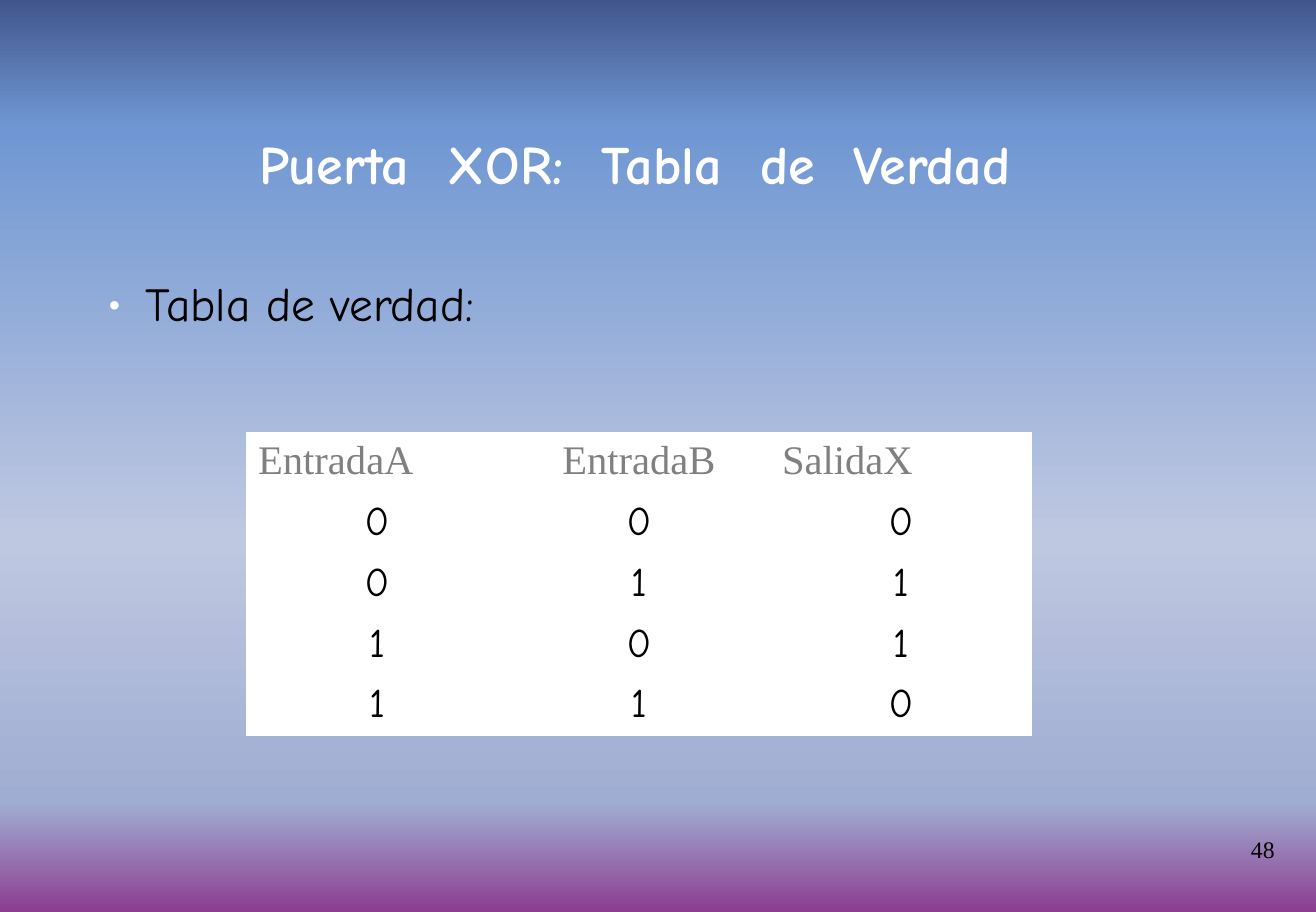
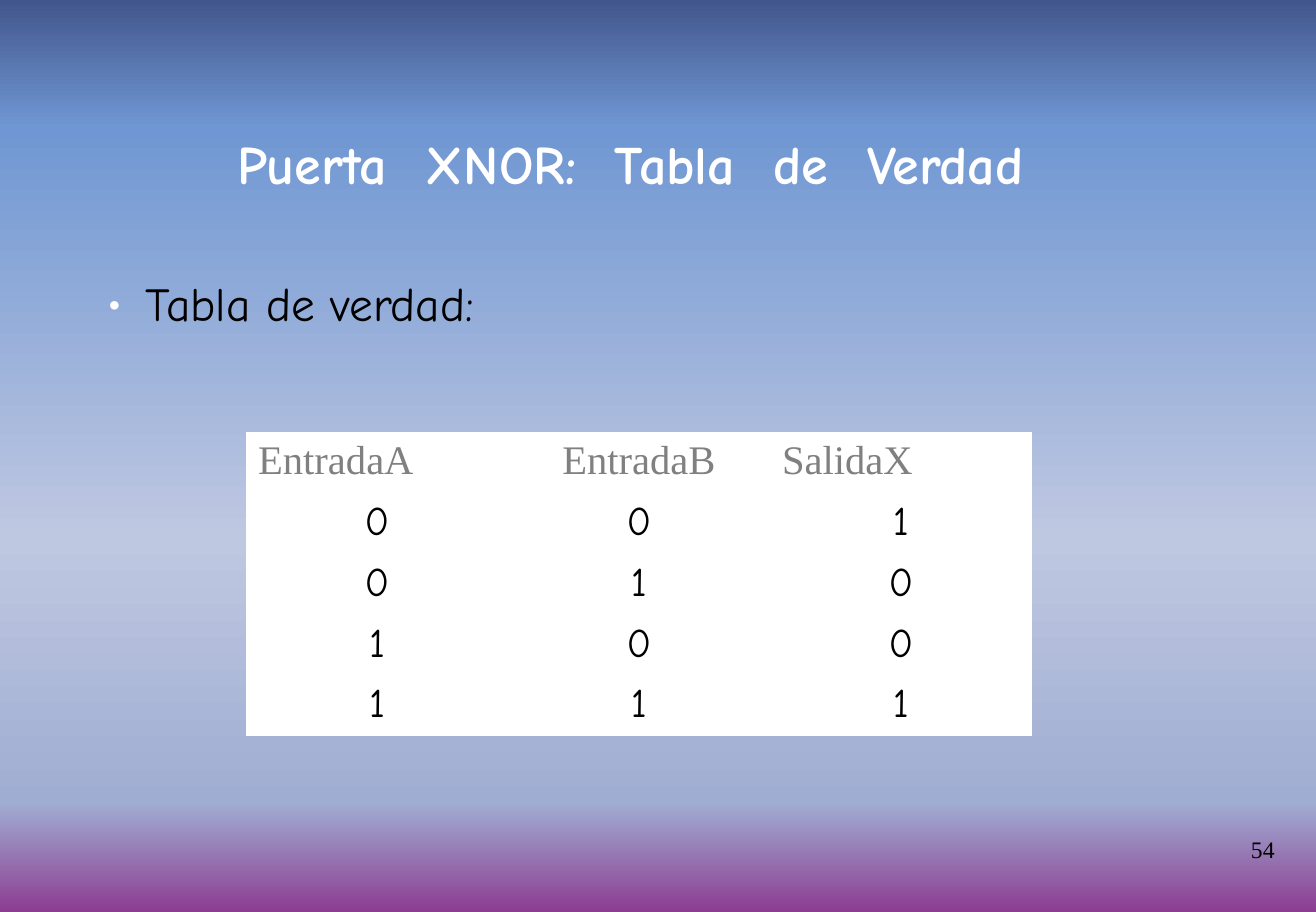
from dataclasses import dataclass
from lxml.etree import SubElement
from pptx import Presentation
from pptx.dml.color import RGBColor
from pptx.enum.text import MSO_ANCHOR, MSO_AUTO_SIZE, PP_ALIGN
from pptx.oxml.ns import qn
from pptx.util import Pt

PX = 7514  # EMU in one px


@dataclass(frozen=True)
class Theme:
    sky: tuple = ((0, "42568D"), (14, "7097D3"), (59, "BFC8E1"),
                  (88, "A0ADD2"), (100, "8C3D91"))
    white: str = "FFFFFF"
    black: str = "000000"
    gray: str = "808080"
    hand: str = "Comic Neue"
    serif: str = "Times New Roman"
    title: int = 32
    body: int = 28
    cell: int = 24
    page: int = 14


theme = Theme()


def style(para, face, size, color, bold=False, align=PP_ALIGN.LEFT):
    para.alignment = align
    for run in para.runs:
        font = run.font
        font.name, font.size, font.bold = face, Pt(size), bold
        font.color.rgb = RGBColor.from_string(color)


def put(shape, box, text, lead):
    """Place a text shape without insets and return its one paragraph."""
    shape.left, shape.top, shape.width, shape.height = [n * PX for n in box]
    frame = shape.text_frame
    frame.text = text
    frame.margin_left = frame.margin_right = 0
    frame.margin_top = frame.margin_bottom = 0
    frame.word_wrap = True
    frame.auto_size = MSO_AUTO_SIZE.NONE
    frame.vertical_anchor = MSO_ANCHOR.TOP
    para = frame.paragraphs[0]
    para.line_spacing = Pt(lead)
    para.space_before = Pt(0)
    return para


deck = Presentation()
deck.slide_width, deck.slide_height = 1316 * PX, 912 * PX

# Shared background
master = deck.slide_master
fill = master.background.fill
fill.gradient()
fill.gradient_angle = 270
stops = master.element.find(".//" + qn("a:gsLst"))
for stop in list(stops):
    stops.remove(stop)
for pos, color in theme.sky:
    stop = SubElement(stops, qn("a:gs"), pos=str(pos * 1000))
    SubElement(stop, qn("a:srgbClr"), val=color)

heads = ("EntradaA", "EntradaB", "SalidaX")
inputs = ("00", "01", "10", "11")
gates = (
    ("Puerta  XOR:  Tabla  de  Verdad", 259, "0110", "48"),
    ("Puerta  XNOR:  Tabla  de  Verdad", 237, "1001", "54"),
)

for title, left, outputs, number in gates:
    slide = deck.slides.add_slide(deck.slide_layouts[1])

    para = put(slide.shapes.title, (left, 136, 840, 60), title, 35)
    style(para, theme.hand, theme.title, theme.white, bold=True)

    para = put(slide.placeholders[1], (108, 280, 840, 58), "Tabla de verdad:", 30)
    style(para, theme.hand, theme.body, theme.black)
    props = para._p.get_or_add_pPr()
    props.set("marL", str(38 * PX))
    props.set("indent", str(-38 * PX))
    tint = SubElement(props, qn("a:buClr"))
    SubElement(tint, qn("a:srgbClr"), val=theme.white)
    SubElement(props, qn("a:buFont"), typeface=theme.hand)
    SubElement(props, qn("a:buChar"), char="•")

    # Truth table
    rows = [heads] + [(*pair, out) for pair, out in zip(inputs, outputs)]
    table = slide.shapes.add_table(
        len(rows), len(heads), 246 * PX, 432 * PX, 786 * PX, 304 * PX).table
    table.first_row = table.horz_banding = False
    grid = table._tbl.tblPr.find(qn("a:tableStyleId"))
    grid.text = "{2D5ABB26-0587-4C30-8999-92F81FD0307C}"  # no style, no grid
    for r, row in enumerate(rows):
        for c, text in enumerate(row):
            cell = table.cell(r, c)
            cell.fill.solid()
            cell.fill.fore_color.rgb = RGBColor.from_string(theme.white)
            cell.text_frame.text = text
            face, color = (theme.hand, theme.black) if r else (theme.serif, theme.gray)
            align = PP_ALIGN.CENTER if r or c == 1 else PP_ALIGN.LEFT
            style(cell.text_frame.paragraphs[0], face, theme.cell, color, align=align)

    page = slide.shapes.add_textbox(0, 0, 0, 0)
    para = put(page, (1251, 843, 30, 21), number, 12)
    style(para, theme.serif, theme.page, theme.black)

deck.save("out.pptx")
